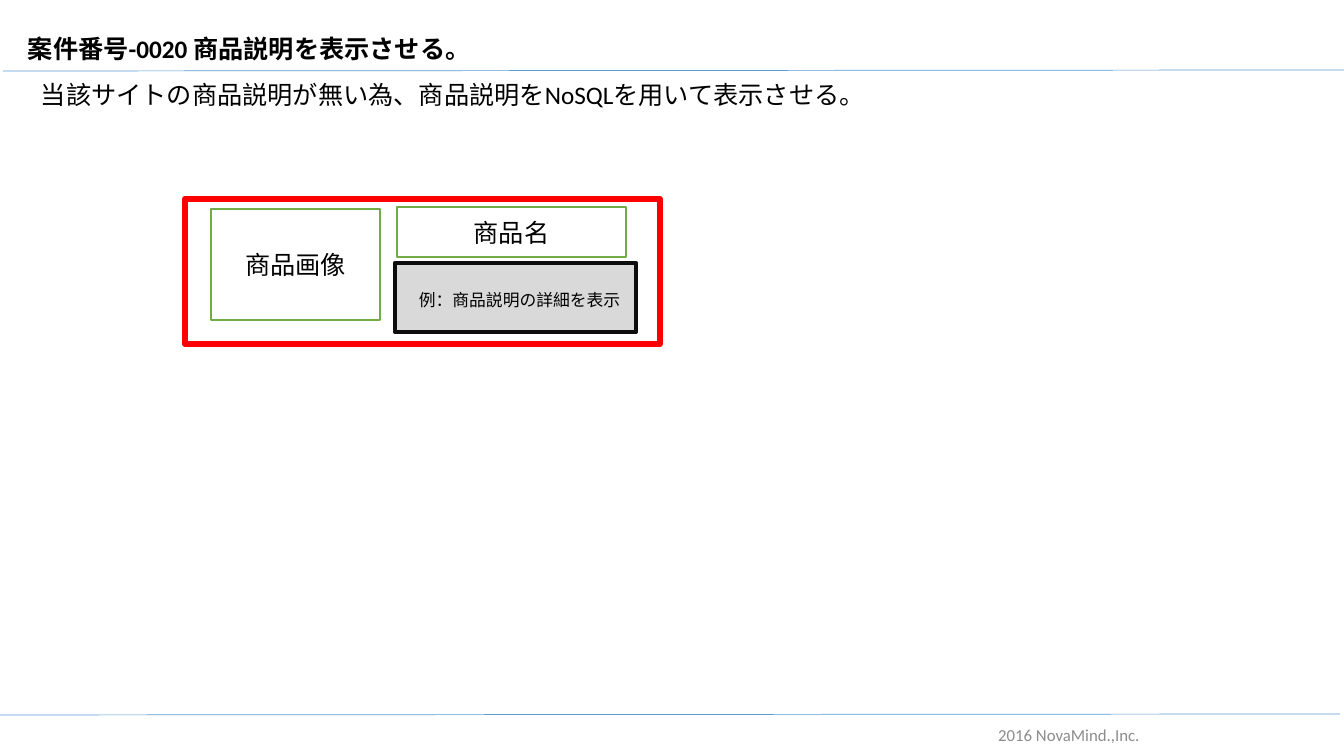
from dataclasses import dataclass

from lxml import etree
from pptx import Presentation
from pptx import util as u
from pptx.dml.color import RGBColor
from pptx.enum import shapes, text
from pptx.oxml import ns

SLIDE_W, SLIDE_H = 1344, 756
SCALE = u.Inches(40 / 3) / SLIDE_W


@dataclass(frozen=True)
class Theme:
    font: str = "Calibri"
    ink: str = "000000"
    muted: str = "8C8C8C"
    rule: str = "5B9BD5"
    paper: str = "FFFFFF"
    panel: str = "D9D9D9"
    panel_edge: str = "0D0D0D"
    frame: str = "FF0000"
    part_edge: str = "70AD47"
    body_size: int = 18
    small_size: int = 12


THEME = Theme()


def px(*lengths):
    return [u.Emu(round(length * SCALE)) for length in lengths]


def inside(box, left, top, width, height):
    return box[0] + left, box[1] + top, width, height


def write(frame, words, size, color=THEME.ink, bold=False, centred=False, middle=False):
    frame.word_wrap = True
    frame.vertical_anchor = text.MSO_ANCHOR.MIDDLE if middle else text.MSO_ANCHOR.TOP
    paragraph = frame.paragraphs[0]
    paragraph.alignment = text.PP_ALIGN.CENTER if centred else text.PP_ALIGN.LEFT
    run = paragraph.add_run()
    run.text = words
    formats = {"name": THEME.font, "size": u.Pt(size), "bold": bold}
    for attribute, value in formats.items():
        setattr(run.font, attribute, value)
    run.font.color.rgb = RGBColor.from_string(color)


def add_words(slide, box, words, size, **formats):
    label = slide.shapes.add_textbox(*px(*box))
    write(label.text_frame, words, size, **formats)


def add_rule(slide, start, end):
    rule = slide.shapes.add_connector(
        shapes.MSO_CONNECTOR.STRAIGHT, *px(*start, *end))
    rule.line.color.rgb = RGBColor.from_string(THEME.rule)
    rule.line.width = u.Pt(0.5)
    etree.SubElement(rule._element.spPr, ns.qn("a:effectLst"))


def add_panel(slide, box, edge, weight, fill=None):
    panel = slide.shapes.add_shape(shapes.MSO_SHAPE.RECTANGLE, *px(*box))
    panel.shadow.inherit = False
    if fill:
        panel.fill.solid()
        panel.fill.fore_color.rgb = RGBColor.from_string(fill)
    else:
        panel.fill.background()
    panel.line.color.rgb = RGBColor.from_string(edge)
    panel.line.width = u.Pt(weight)
    return panel


def add_header(slide, box):
    left, top, width, height = box
    add_words(slide, inside(box, 15, 28, 1279, 40),
              "案件番号-0020 商品説明を表示させる。", THEME.body_size, bold=True)
    add_rule(slide, (left, top + 71), (left + width, top + 70))
    add_words(slide, inside(box, 28, 74, 918, 40),
              "当該サイトの商品説明が無い為、商品説明をNoSQLを用いて表示させる。",
              THEME.body_size)


def add_product_card(slide, box):
    add_panel(slide, inside(box, 210, 64, 241, 69), THEME.panel_edge, 3, THEME.panel)
    add_words(slide, inside(box, 224, 86, 224, 30),
              "例：商品説明の詳細を表示", THEME.small_size)
    add_panel(slide, box, THEME.frame, 4.5)
    parts = {"商品画像": (26, 10, 169, 111), "商品名": (212, 8, 229, 50)}
    for words, place in parts.items():
        part = add_panel(slide, inside(box, *place), THEME.part_edge, 1, THEME.paper)
        write(part.text_frame, words, THEME.body_size, centred=True, middle=True)


def add_footer(slide, box):
    left, top, width, height = box
    add_rule(slide, (left, top + 1), (left + width, top))
    add_words(slide, inside(box, 796, 1, 546, 40), "2016 NovaMind.,Inc.",
              THEME.small_size, color=THEME.muted, centred=True, middle=True)


def main():
    deck = Presentation()
    deck.slide_width, deck.slide_height = px(SLIDE_W, SLIDE_H)
    slide = deck.slides.add_slide(deck.slide_layouts[6])
    add_header(slide, (3, 0, 1341, 114))
    add_product_card(slide, (185, 199, 475, 145))
    add_footer(slide, (0, 714, 1340, 42))
    deck.save("out.pptx")


if __name__ == "__main__":
    main()
